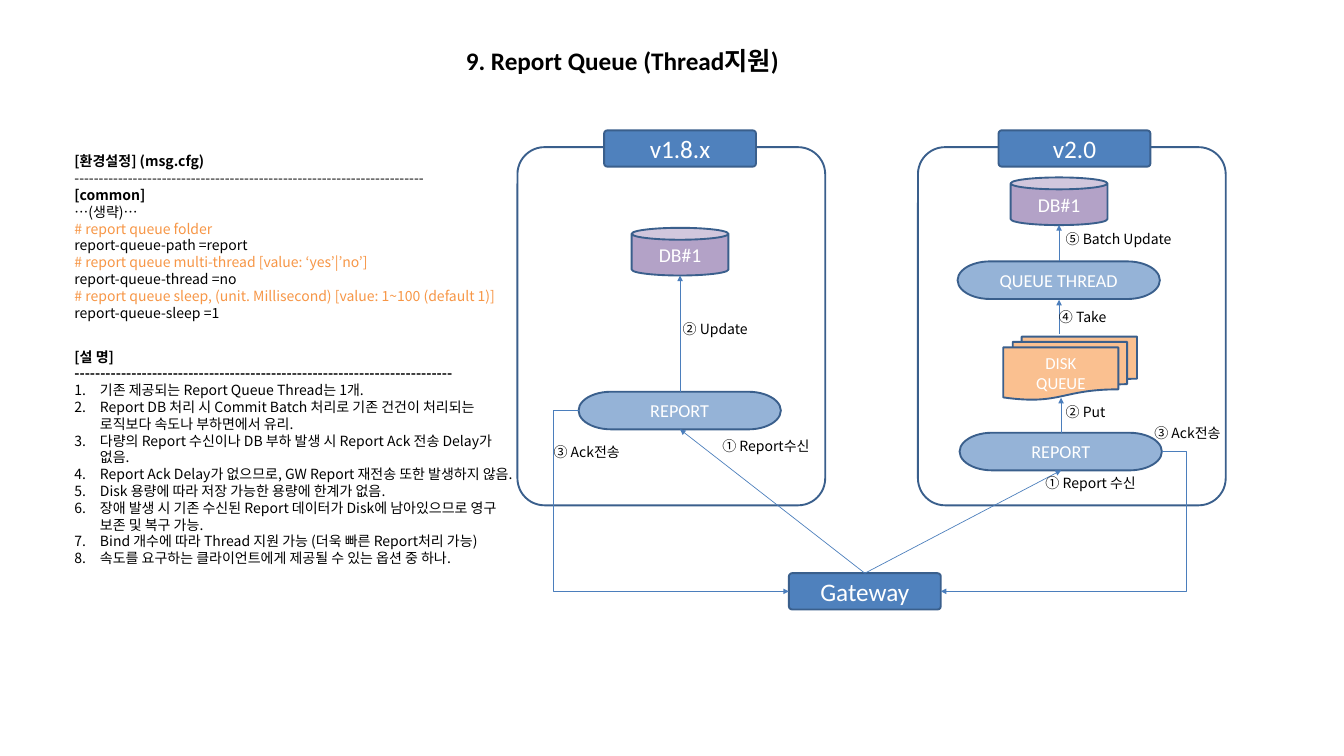
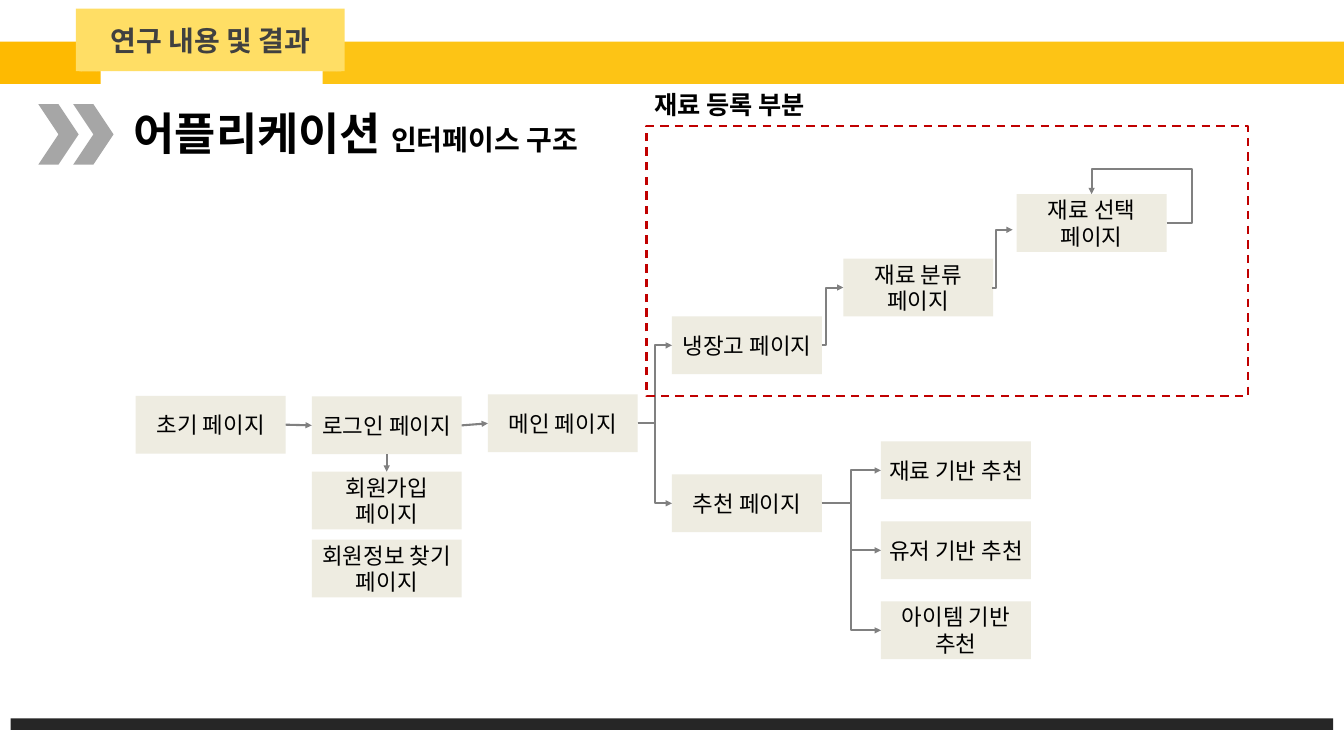
from lxml import etree
from pptx import Presentation
from pptx.dml.color import RGBColor
from pptx.enum.dml import MSO_LINE, MSO_PATTERN
from pptx.enum.shapes import MSO_CONNECTOR, MSO_SHAPE
from pptx.enum.text import MSO_ANCHOR, MSO_AUTO_SIZE, PP_ALIGN
from pptx.oxml.ns import qn
from pptx.util import Inches, Pt

# Shared style
BLACK = RGBColor(0x00, 0x00, 0x00)
WHITE = RGBColor(0xFF, 0xFF, 0xFF)
BLUE = RGBColor(0x4F, 0x81, 0xBD)
DARK_BLUE = RGBColor(0x3A, 0x5F, 0x8C)
ARROW_BLUE = RGBColor(0x4B, 0x7E, 0xBC)
LIGHT_BLUE = RGBColor(0x95, 0xB3, 0xD7)
PURPLE = RGBColor(0xB3, 0xA2, 0xC7)
PEACH = RGBColor(0xFA, 0xC0, 0x90)
ORANGE = RGBColor(0xF7, 0x96, 0x46)
YELLOW = RGBColor(0xFD, 0xC4, 0x15)
AMBER = RGBColor(0xFE, 0xBA, 0x01)
PALE_YELLOW = RGBColor(0xFF, 0xDE, 0x65)
BEIGE = RGBColor(0xEE, 0xEC, 0xE1)
PALE_GRAY = RGBColor(0xF2, 0xF2, 0xF2)
SILVER = RGBColor(0xA6, 0xA6, 0xA6)
GRAY = RGBColor(0x80, 0x80, 0x80)
DARK_GRAY = RGBColor(0x40, 0x40, 0x40)
CHARCOAL = RGBColor(0x26, 0x26, 0x26)
RED = RGBColor(0xC0, 0x00, 0x00)

LATIN_FONT = "Calibri"
KOREAN_FONT = "Noto Sans CJK KR"
LEFT, CENTER = PP_ALIGN.LEFT, PP_ALIGN.CENTER
TOP, MIDDLE = MSO_ANCHOR.TOP, MSO_ANCHOR.MIDDLE
RECTANGLE, ROUNDED = MSO_SHAPE.RECTANGLE, MSO_SHAPE.ROUNDED_RECTANGLE
CAN, CHEVRON = MSO_SHAPE.CAN, MSO_SHAPE.CHEVRON
TERMINATOR = MSO_SHAPE.FLOWCHART_TERMINATOR
MULTIDOCUMENT = MSO_SHAPE.FLOWCHART_MULTIDOCUMENT
STRAIGHT, ELBOW = MSO_CONNECTOR.STRAIGHT, MSO_CONNECTOR.ELBOW

COLUMNS, ROWS = 20, 11.25
TITLE_ONLY = 5
CORNER = 0.088


def write(shape, paragraphs, size, color=BLACK, bold=False, font=LATIN_FONT,
          align=LEFT, anchor=MIDDLE, inset=0.1, line_height=None, numbered_from=None):
    """Write paragraphs; each is a string or a list of (text, format changes) runs."""
    frame = shape.text_frame
    frame.word_wrap = True
    frame.auto_size = MSO_AUTO_SIZE.NONE
    frame.vertical_anchor = anchor
    frame.margin_left = frame.margin_right = Inches(inset)
    frame.margin_top = frame.margin_bottom = Inches(0.05)
    for index, content in enumerate(paragraphs):
        paragraph = frame.add_paragraph() if index else frame.paragraphs[0]
        if numbered_from is not None and index >= numbered_from:
            properties = paragraph._p.get_or_add_pPr()
            properties.set("marL", str(Inches(0.38)))
            properties.set("indent", str(-Inches(0.38)))
            etree.SubElement(properties, qn("a:buAutoNum"), type="arabicPeriod")
        paragraph.alignment = align
        if line_height:
            paragraph.line_spacing = Pt(line_height)
        runs = [(content, {})] if isinstance(content, str) else content
        for text, changes in runs:
            run = paragraph.add_run()
            run.text = text
            run.font.size = Pt(changes.get("size", size))
            run.font.bold = changes.get("bold", bold)
            run.font.color.rgb = changes.get("color", color)
            run.font.name = font
            etree.SubElement(run._r.get_or_add_rPr(), qn("a:ea"), typeface=KOREAN_FONT)


class Deck:
    """Holds the presentation, its grid and the current slide."""

    def __init__(self):
        self.presentation = Presentation()
        self.presentation.slide_width = Inches(20)
        self.presentation.slide_height = Inches(11.25)
        self.column = self.presentation.slide_width / COLUMNS
        self.row = self.presentation.slide_height / ROWS
        self.slide = None

    def place(self, *cells):
        """Turn alternating columns and rows into lengths."""
        return [round(cell * (self.row if index % 2 else self.column))
                for index, cell in enumerate(cells)]

    def add_slide(self, title, cells, **style):
        layout = self.presentation.slide_layouts[TITLE_ONLY]
        self.slide = self.presentation.slides.add_slide(layout)
        placeholder = self.slide.shapes.title
        (placeholder.left, placeholder.top,
         placeholder.width, placeholder.height) = self.place(*cells)
        write(placeholder, [title], bold=True, **style)

    def shape(self, kind, cells, fill=None, line=None, line_width=2, text=None, **style):
        shape = self.slide.shapes.add_shape(kind, *self.place(*cells))
        shape.shadow.inherit = False
        if kind == ROUNDED:
            shape.adjustments[0] = CORNER
        if fill is None:
            shape.fill.background()
        else:
            shape.fill.solid()
            shape.fill.fore_color.rgb = fill
        if line is None:
            shape.line.fill.background()
        else:
            shape.line.color.rgb = line
            shape.line.width = Pt(line_width)
        if text:
            write(shape, text.split("\n"), align=CENTER, **style)
        return shape

    def text(self, cells, paragraphs, **style):
        write(self.slide.shapes.add_textbox(*self.place(*cells)), paragraphs, **style)

    def arrow(self, start, end, color, width, kind=STRAIGHT, bends=()):
        """Draw an arrow; bends are shares of its width and height."""
        connector = self.slide.shapes.add_connector(kind, *self.place(*start, *end))
        connector.line.color.rgb = color
        connector.line.width = Pt(width)
        properties = connector.element.spPr
        etree.SubElement(properties.find(qn("a:ln")), qn("a:tailEnd"), type="triangle")
        etree.SubElement(properties, qn("a:effectLst"))
        if bends:
            geometry = properties.find(qn("a:prstGeom"))
            geometry.set("prst", f"bentConnector{len(bends) + 2}")
            guides = geometry.find(qn("a:avLst"))
            if guides is None:
                guides = etree.SubElement(geometry, qn("a:avLst"))
            for number, share in enumerate(bends, 1):
                etree.SubElement(guides, qn("a:gd"), name=f"adj{number}",
                                 fmla=f"val {round(share * 100000)}")


def build_report_queue(deck):
    deck.add_slide("9. Report Queue (Thread지원)", (5.06, 0.5, 8.4, 0.79),
                   size=27, align=CENTER)

    # Settings and explanation
    bold, comment = {"bold": True}, {"color": ORANGE}
    settings = [
        [("[환경설정] (msg.cfg)", bold)],
        "-" * 72,
        [("[common]", bold)],
        "…(생략)…",
        [("# report queue folder", comment)],
        "report-queue-path =report",
        [("# report queue multi-thread [value: ‘yes’|’no’]", comment)],
        "report-queue-thread =no",
        [("# report queue sleep, (unit. Millisecond) [value: 1~100 (default 1)]", comment)],
        "report-queue-sleep =1",
    ]
    explanation = [
        [("[설 명]", bold)],
        [("-" * 73, bold)],
        "기존 제공되는 Report Queue Thread는 1개.",
        "Report DB 처리 시 Commit Batch 처리로 기존 건건이 처리되는 로직보다 속도나 부하면에서 유리.",
        "다량의 Report 수신이나 DB 부하 발생 시 Report Ack 전송 Delay가 없음.",
        "Report Ack Delay가 없으므로, GW Report 재전송 또한 발생하지 않음.",
        "Disk 용량에 따라 저장 가능한 용량에 한계가 없음.",
        "장애 발생 시 기존 수신된 Report 데이터가 Disk에 남아있으므로 영구 보존 및 복구 가능.",
        "Bind 개수에 따라 Thread 지원 가능 (더욱 빠른 Report처리 가능)",
        "속도를 요구하는 클라이언트에게 제공될 수 있는 옵션 중 하나.",
    ]
    body = {"size": 15, "font": KOREAN_FONT}
    deck.text((1.01, 1.69, 6.57, 3.67), settings, line_height=18, **body)
    deck.text((1.01, 4.81, 6.66, 3.99), explanation, line_height=18,
              numbered_from=2, **body)

    # Version panels and the gateway
    for left in (7.7, 13.66):
        deck.shape(ROUNDED, (left, 2.19, 4.58, 5.33), line=DARK_BLUE)
    for text, left, top in (("v1.8.x", 8.99, 1.94), ("v2.0", 14.86, 1.94),
                            ("Gateway", 11.74, 8.53)):
        deck.shape(ROUNDED, (left, top, 2.26, 0.54), BLUE, DARK_BLUE,
                   text=text, size=27, color=WHITE)

    # Databases, processes and the disk queue
    for left, top in ((9.4, 3.39), (15.04, 2.64)):
        deck.shape(CAN, (left, top, 1.44, 0.71), PURPLE, DARK_BLUE,
                   text="DB#1", size=21, color=WHITE)
    for text, left, top in (("REPORT", 8.61, 5.83), ("REPORT", 14.28, 6.44),
                            ("QUEUE THREAD", 14.25, 3.89)):
        deck.shape(TERMINATOR, (left, top, 3.01, 0.56), LIGHT_BLUE, DARK_BLUE,
                   text=text, size=19.5, color=WHITE)
    deck.shape(MULTIDOCUMENT, (14.93, 5.01, 1.99, 0.94), PEACH, DARK_BLUE,
               text="DISK\nQUEUE", size=18, color=WHITE)

    # Message flow
    gateway_top = (12.87, 8.53)
    for start, end in ((gateway_top, (10.12, 6.39)), (gateway_top, (15.79, 7)),
                       ((10.12, 5.83), (10.12, 4.1)), ((15.79, 6.44), (15.79, 5.92)),
                       ((15.76, 4.97), (15.76, 4.46)), ((15.76, 3.89), (15.76, 3.35))):
        deck.arrow(start, end, ARROW_BLUE, 0.75)
    for start, end, bend in (((8.61, 6.11), (11.74, 8.8), -0.12),
                             ((17.29, 6.72), (14, 8.8), -0.11)):
        deck.arrow(start, end, ARROW_BLUE, 0.75, ELBOW, (bend,))
    for text, left, top, width in (
            ("② Update", 10.06, 4.65, 1.35), ("① Report수신", 10.65, 6.39, 1.88),
            ("③ Ack전송", 8.14, 6.48, 1.37), ("⑤ Batch Update", 15.76, 3.32, 2.09),
            ("① Report 수신", 15.46, 6.94, 1.83), ("② Put", 15.76, 5.89, 1.25),
            ("④ Take", 15.66, 4.47, 1.25), ("③ Ack전송", 17.08, 6.2, 1.37)):
        deck.text((left, top, width, 0.48), [text], **body)


def build_interface_structure(deck):
    deck.add_slide([("어플리케이션 ", {}), ("인터페이스 구조", {"size": 30})],
                   (1.89, 1.58, 8.11, 0.91), size=48, anchor=TOP, line_height=54)

    # Header band, section tab and footer
    deck.shape(RECTANGLE, (4.8, 0.62, 15.2, 0.63), YELLOW)
    deck.shape(RECTANGLE, (0, 0.62, 1.5, 0.63), AMBER)
    tab_back = deck.shape(RECTANGLE, (1.18, 0.31, 3.9, 0.75))
    tab_back.fill.patterned()
    tab_back.fill.pattern = MSO_PATTERN.PERCENT_10
    tab_back.fill.fore_color.rgb = PALE_GRAY
    tab_back.fill.back_color.rgb = WHITE
    deck.shape(RECTANGLE, (0.16, 10.69, 19.68, 0.17), CHARCOAL)
    deck.shape(RECTANGLE, (1.13, 0.13, 4, 0.93), PALE_YELLOW,
               text="연구 내용 및 결과", size=30, color=DARK_GRAY, bold=True)
    chevrons = [deck.shape(CHEVRON, (left, 1.55, 0.6, 0.9), SILVER)
                for left in (1.09, 0.57)]
    deck.slide.shapes.add_group_shape(chevrons)

    # Pages
    page_width, page_height = 2.23, 0.86
    pages = {
        "초기 페이지": (2.02, 5.89), "로그인 페이지": (4.64, 5.9),
        "메인 페이지": (7.26, 5.87), "냉장고 페이지": (10, 4.71),
        "추천 페이지": (10, 7.06), "회원가입 페이지": (4.64, 7.02),
        "회원정보 찾기 페이지": (4.64, 8.03), "재료 분류 페이지": (12.55, 3.85),
        "재료 선택 페이지": (15.13, 2.89),
    }
    recommendations = ("재료 기반 추천", "유저 기반 추천", "아이템 기반 추천")
    for index, name in enumerate(recommendations):
        pages[name] = (13.11, 6.57 + 1.19 * index)
    for name, (left, top) in pages.items():
        deck.shape(RECTANGLE, (left, top, page_width, page_height), BEIGE,
                   text=name, size=24, inset=0.08, line_height=28.5)

    # Links between pages
    def side(name, across, down):
        left, top = pages[name]
        return left + across * page_width, top + down * page_height

    def link(source, target, kind=ELBOW, bends=()):
        deck.arrow(side(source, 1, 0.5), side(target, 0, 0.5), GRAY, 2.25, kind, bends)

    link("초기 페이지", "로그인 페이지", STRAIGHT)
    link("로그인 페이지", "메인 페이지", STRAIGHT)
    deck.arrow(side("로그인 페이지", 0.5, 1), side("회원가입 페이지", 0.5, 0), GRAY, 2.25)
    for target in ("냉장고 페이지", "추천 페이지"):
        link("메인 페이지", target)
    for target in recommendations:
        link("추천 페이지", target)
    link("냉장고 페이지", "재료 분류 페이지", bends=(0.2,))
    deck.arrow((14.76, 4.28), (15.07, 3.42), GRAY, 2.25, ELBOW, (0.2,))
    deck.arrow(side("재료 선택 페이지", 1, 0.5), side("재료 선택 페이지", 0.5, 0),
               GRAY, 2.25, ELBOW, (-0.34, 1.88))

    # Ingredient registration area
    area = deck.shape(RECTANGLE, (9.62, 1.87, 8.95, 4.03), line=RED, line_width=2.25)
    area.line.dash_style = MSO_LINE.DASH
    deck.text((9.64, 1.28, 3.04, 0.56), ["재료 등록 부분"], size=27, bold=True)


def main():
    deck = Deck()
    build_report_queue(deck)
    build_interface_structure(deck)
    deck.presentation.save("out.pptx")


if __name__ == "__main__":
    main()
